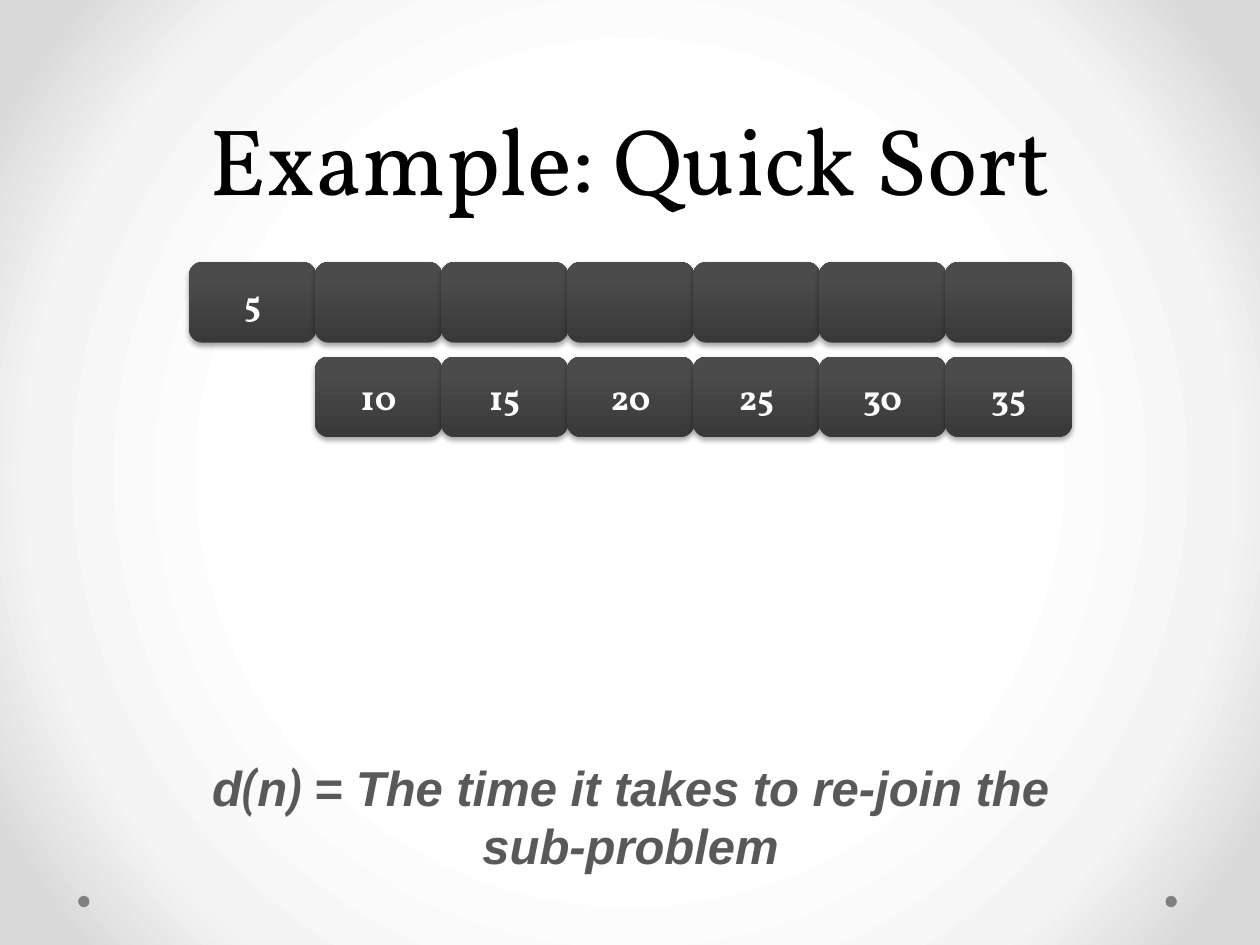
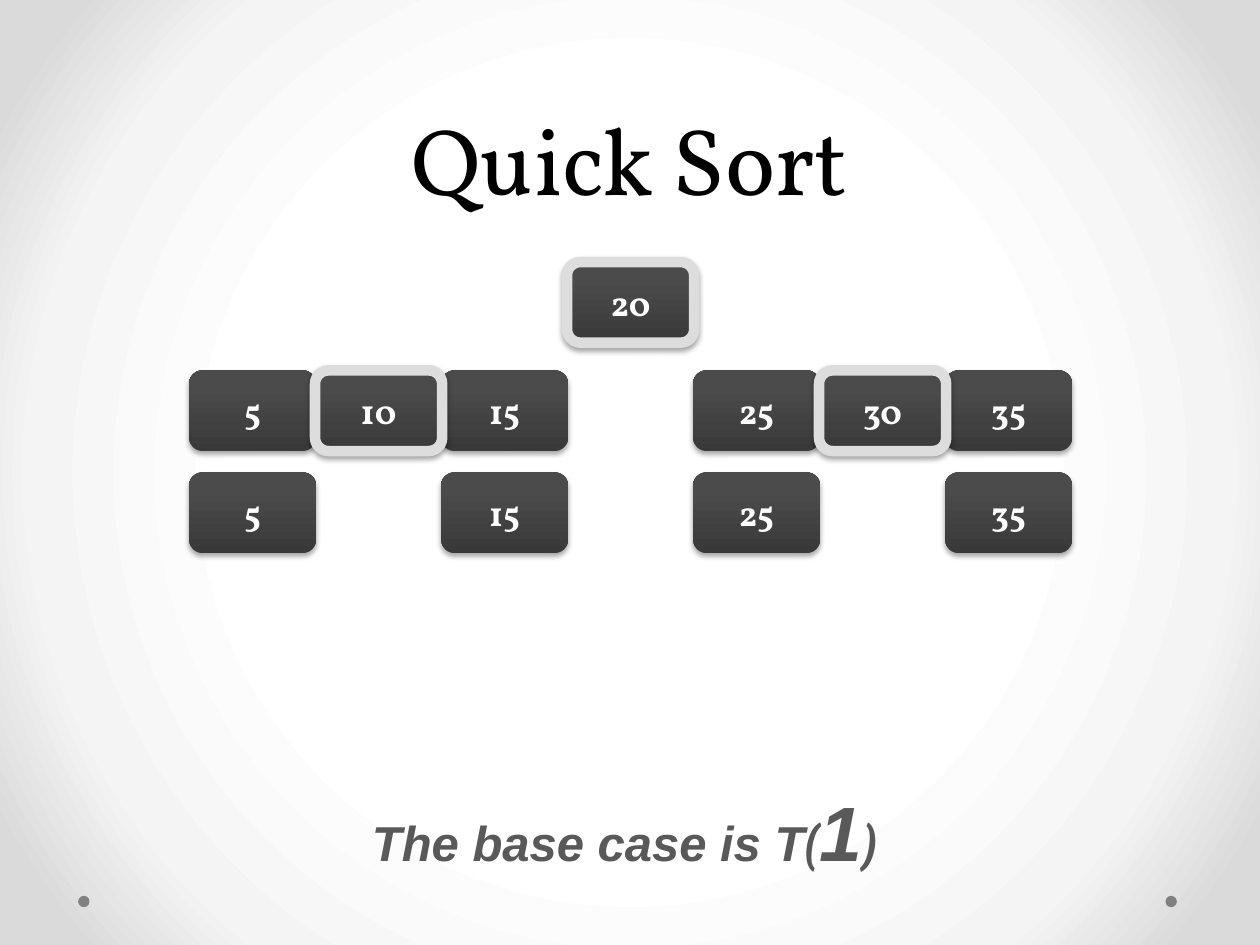
import pptx
import pptx.dml.color
import pptx.enum.shapes
import pptx.enum.text
import pptx.oxml
import pptx.oxml.ns
import pptx.util

Inches = pptx.util.Inches
Pt = pptx.util.Pt
SHAPES = pptx.enum.shapes.MSO_SHAPE
ANCHOR = pptx.enum.text.MSO_ANCHOR
AUTO_SIZE = pptx.enum.text.MSO_AUTO_SIZE
CENTER = pptx.enum.text.PP_ALIGN.CENTER

# Shared look
WIDTH, HEIGHT = 10, 7.5
SERIF, SANS, CONDENSED = "Vollkorn", "Arial", "Roboto Condensed"
BLACK, WHITE, GREY, DOT_GREY, PIVOT_GREY = "000000", "FFFFFF", "595959", "808080", "DDDDDD"
TITLE_FORMAT = {"name": SERIF, "size": Pt(54), "bold": False}
CELL_FORMAT = {"name": SERIF, "size": Pt(20), "bold": True}
CAPTION_FORMAT = {"size": Pt(28), "bold": True, "italic": True}
PAGE_STOPS = [(50, "FFFFFF"), (76, "F4F4F4"), (92, "DADADA")]
CELL_STOPS = [(0, "393939"), (80, "4B4B4B"), (100, "4B4B4B")]
CENTER_OUT = ('<a:path path="circle"><a:fillToRect l="50000" t="50000" '
              'r="50000" b="50000"/></a:path>')
BOTTOM_UP = '<a:lin ang="16200000" scaled="0"/>'

# Array grid: seven columns, one inch apart
GRID_LEFT, COLUMN_STEP = 1.5, 1
CELL_WIDTH, CELL_HEIGHT = 1.01, 0.64


def colour(hex_string):
    return pptx.dml.color.RGBColor.from_string(hex_string)


def drawing_xml(markup):
    """Parse one drawing element, declaring its namespace on the root tag."""
    name, rest = markup.split(" ", 1)
    return pptx.oxml.parse_xml(f"{name} {pptx.oxml.ns.nsdecls('a')} {rest}")


def apply_gradient(fill, owner, stops, direction):
    fill.gradient()
    marks = "".join(f'<a:gs pos="{share * 1000}"><a:srgbClr val="{shade}"/></a:gs>'
                    for share, shade in stops)
    gradient = drawing_xml(f'<a:gradFill rotWithShape="1"><a:gsLst>{marks}</a:gsLst>'
                           f'{direction}</a:gradFill>')
    plain = next(owner.iter(pptx.oxml.ns.qn("a:gradFill")))
    plain.getparent().replace(plain, gradient)


def add_soft_shadow(box):
    box.shadow.inherit = False
    effects = box.element.spPr.find(pptx.oxml.ns.qn("a:effectLst"))
    effects.append(drawing_xml(
        f'<a:outerShdw blurRad="{Pt(3.1)}" dist="{Pt(1.8)}" dir="5400000" '
        'algn="ctr" rotWithShape="0"><a:srgbClr val="000000">'
        '<a:alpha val="35000"/></a:srgbClr></a:outerShdw>'))


def add_span(para, text, formats, shade):
    span = para.add_run()
    span.text = text
    for key, value in formats.items():
        setattr(span.font, key, value)
    span.font.color.rgb = colour(shade)


def style_template(deck, layout):
    """Set the background and the title frame that both slides inherit."""
    master = deck.slide_master
    apply_gradient(master.background.fill, master.element, PAGE_STOPS, CENTER_OUT)
    frame = layout.placeholders[0]
    places = {"left": 0.05 * WIDTH, "top": 0, "width": 0.9 * WIDTH, "height": 1.75}
    for key, value in places.items():
        setattr(frame, key, Inches(value))


def add_corner_dots(deck, page):
    """Draw the two dots and hand them to the slide master."""
    master_tree = deck.slide_master.element.cSld.spTree
    for left in (0.62, 9.25):
        dot = page.shapes.add_shape(SHAPES.OVAL, Inches(left), Inches(7.11),
                                    Inches(0.09), Inches(0.09))
        dot.shadow.inherit = False
        dot.fill.solid()
        dot.fill.fore_color.rgb = colour(DOT_GREY)
        dot.line.fill.background()
        master_tree.append(dot.element)


def add_page(deck, layout, title):
    page = deck.slides.add_slide(layout)
    frame = page.shapes.title.text_frame
    frame.vertical_anchor = ANCHOR.BOTTOM
    frame.auto_size = AUTO_SIZE.NONE
    para = frame.paragraphs[0]
    para.alignment = CENTER
    para.line_spacing = Pt(58)
    add_span(para, title, TITLE_FORMAT, BLACK)
    return page


def add_cell(page, column, top, label, pivot=False):
    box = page.shapes.add_shape(
        SHAPES.ROUNDED_RECTANGLE, Inches(GRID_LEFT + column * COLUMN_STEP),
        Inches(top), Inches(CELL_WIDTH), Inches(CELL_HEIGHT))
    apply_gradient(box.fill, box.element, CELL_STOPS, BOTTOM_UP)
    if pivot:
        box.line.color.rgb = colour(PIVOT_GREY)
        box.line.width = Pt(6)
    else:
        box.line.fill.background()
    add_soft_shadow(box)
    if label:
        box.text_frame.vertical_anchor = ANCHOR.MIDDLE
        para = box.text_frame.paragraphs[0]
        para.alignment = CENTER
        add_span(para, label, CELL_FORMAT, WHITE)


def add_array(page, top, cells, pivots=()):
    """Draw a row from {column: label}; outlined pivots lie on top."""
    for column in sorted(cells, key=lambda column: column in pivots):
        add_cell(page, column, top, cells[column], column in pivots)


def add_caption(page, left, top, width, height, spans):
    box = page.shapes.add_textbox(*map(Inches, (left, top, width, height)))
    box.text_frame.word_wrap = True
    box.text_frame.auto_size = AUTO_SIZE.SHAPE_TO_FIT_TEXT
    para = box.text_frame.paragraphs[0]
    para.alignment = CENTER
    for text, font, *size in spans:
        formats = CAPTION_FORMAT | {"name": font}
        if size:
            formats["size"] = Pt(size[0])
        add_span(para, text, formats, GREY)


def main():
    deck = pptx.Presentation()
    deck.slide_width, deck.slide_height = Inches(WIDTH), Inches(HEIGHT)
    layout = deck.slide_layouts.get_by_name("Title Only")
    style_template(deck, layout)
    values = {column: str(5 * (column + 1)) for column in range(7)}

    # Slide 1: the first value is split off
    page = add_page(deck, layout, "Example: Quick Sort")
    add_corner_dots(deck, page)
    add_array(page, 2.83, {column: values[column] for column in range(1, 7)})
    add_array(page, 2.08, {column: "" if column else values[0] for column in values})
    add_caption(page, 1.38, 5.96, 7.25, 1.04, [
        ("d", SANS), ("(", CONDENSED), ("n", SANS), (") ", CONDENSED),
        ("= The time it takes to re-join the sub-problem", SANS)])

    # Slide 2: the middle value is the pivot at each level
    page = add_page(deck, layout, "Quick Sort")
    levels = [(2.94, (0, 1, 2, 4, 5, 6), (1, 5)),
              (3.75, (0, 2, 4, 6), ()),
              (2.08, (3,), (3,))]
    for top, columns, pivots in levels:
        add_array(page, top, {column: values[column] for column in columns}, pivots)
    add_caption(page, 2.17, 6.18, 5.58, 0.84, [
        ("The base case is T", SANS), ("(", CONDENSED), ("1", SANS, 44),
        (")", CONDENSED)])

    deck.save("out.pptx")


if __name__ == "__main__":
    main()
